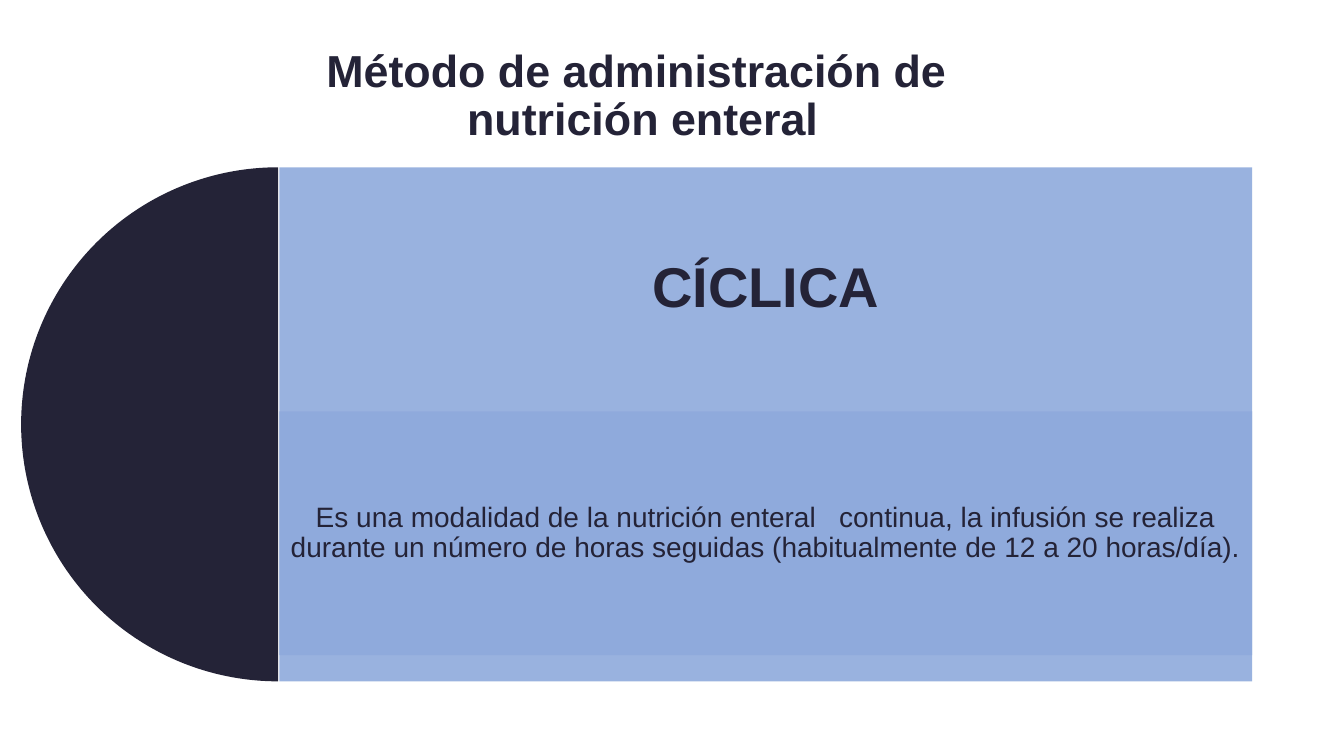
from lxml import etree
from pptx import Presentation
from pptx.dml.color import RGBColor
from pptx.enum import shapes, text
from pptx.oxml.ns import qn
from pptx.util import Inches, Pt

NAVY, BLUE = "242337", "8FAADC"
BAND_LEFT, BAND_TOP, BAND_WIDTH, BAND_HEIGHT = 2.77, 1.66, 9.65, 5.1
ROW_HEIGHT = 2.42
ROW_TOP = BAND_TOP + ROW_HEIGHT

deck = Presentation()
deck.slide_width, deck.slide_height = Inches(13.33), Inches(7.5)
page = deck.slides.add_slide(deck.slide_layouts[6])


def add_block(preset, left, top, width, height, color, opacity=100):
    """Add a borderless shape; opacity is a percentage."""
    block = page.shapes.add_shape(
        preset, Inches(left), Inches(top), Inches(width), Inches(height))
    block.shadow.inherit = False
    block.line.fill.background()
    block.fill.solid()
    block.fill.fore_color.rgb = RGBColor.from_string(color)
    if opacity < 100:
        tint = block.fill._xPr.find(qn("a:solidFill"))[0]
        etree.SubElement(tint, qn("a:alpha"), val=str(opacity * 1000))
    return block


def add_label(lines, left, top, width, height, size, bold, inset):
    """Add a centred paragraph with a line break between lines."""
    box = page.shapes.add_textbox(
        Inches(left), Inches(top), Inches(width), Inches(height))
    frame = box.text_frame
    frame.word_wrap = True
    frame.vertical_anchor = text.MSO_ANCHOR.MIDDLE
    frame.margin_left = frame.margin_right = Inches(inset)
    frame.margin_top = frame.margin_bottom = Inches(inset)
    para = frame.paragraphs[0]
    para.alignment = text.PP_ALIGN.CENTER
    para.line_spacing = 0.9
    for number, line in enumerate(lines):
        if number:
            para.add_line_break()
        span = para.add_run()
        span.text = line
        span.font.name = "Arial"
        span.font.size = Pt(size)
        span.font.bold = bold
        span.font.color.rgb = RGBColor.from_string(NAVY)


add_label(["Método de administración de", " nutrición enteral"],
          -0.35, 0.49, 13.33, 0.94, 32, True, 0.1)

half_disc = add_block(shapes.MSO_SHAPE.PIE, 0.21, BAND_TOP,
                      BAND_HEIGHT, BAND_HEIGHT, NAVY)
half_disc.adjustments[0] = 54   # 90 degrees
half_disc.adjustments[1] = 162  # 270 degrees

for top, height in ((BAND_TOP, BAND_HEIGHT), (ROW_TOP, ROW_HEIGHT)):
    add_block(shapes.MSO_SHAPE.RECTANGLE, BAND_LEFT, top,
              BAND_WIDTH, height, BLUE, 90)

description = ("Es una modalidad de la nutrición enteral   continua, la infusión "
               "se realiza durante un número de horas seguidas "
               "(habitualmente de 12 a 20 horas/día).")
add_label(["CÍCLICA"], BAND_LEFT, BAND_TOP, BAND_WIDTH, ROW_HEIGHT, 40, True, 0.17)
add_label([description], BAND_LEFT, ROW_TOP, BAND_WIDTH, ROW_HEIGHT, 20, False, 0.08)

deck.save("out.pptx")
